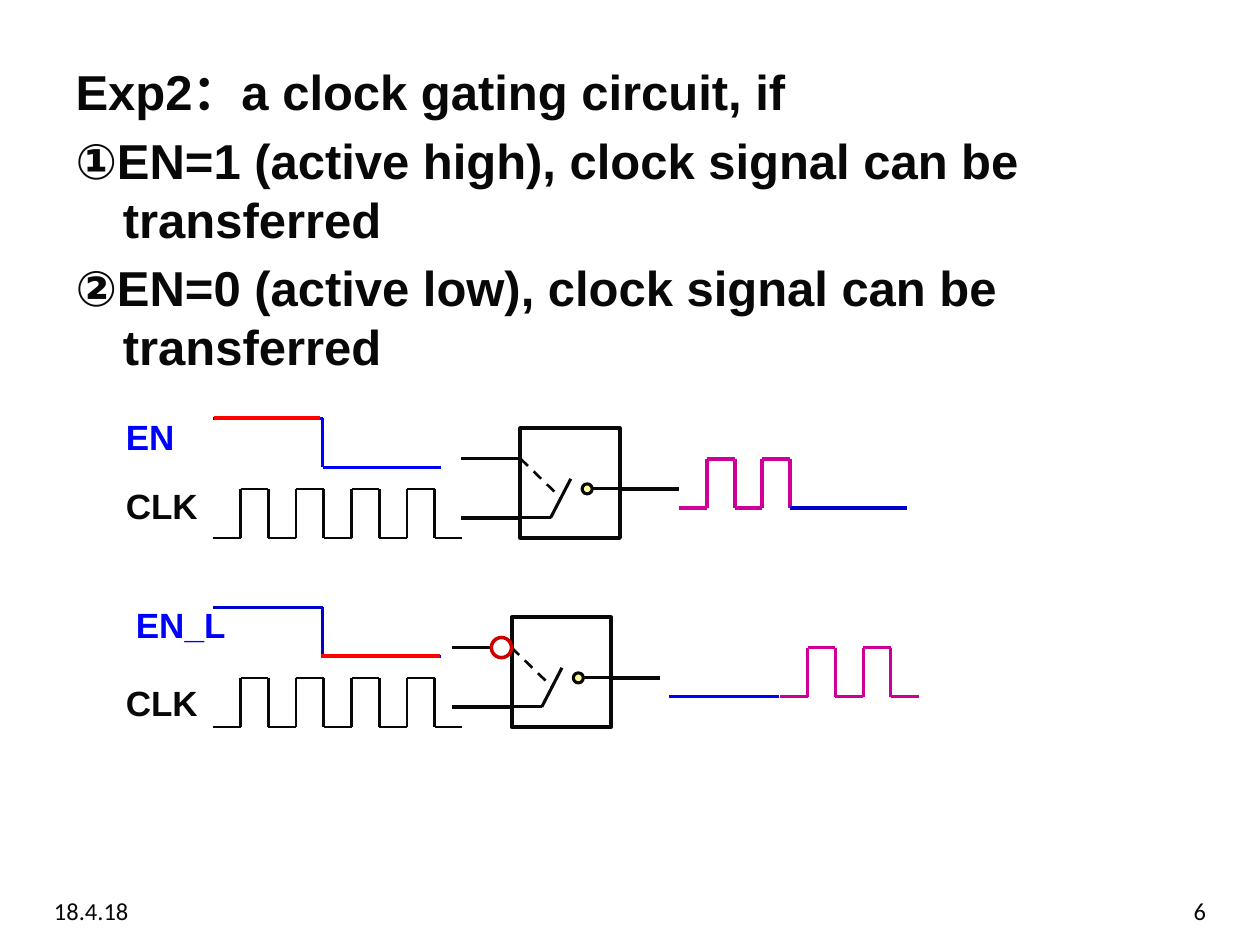
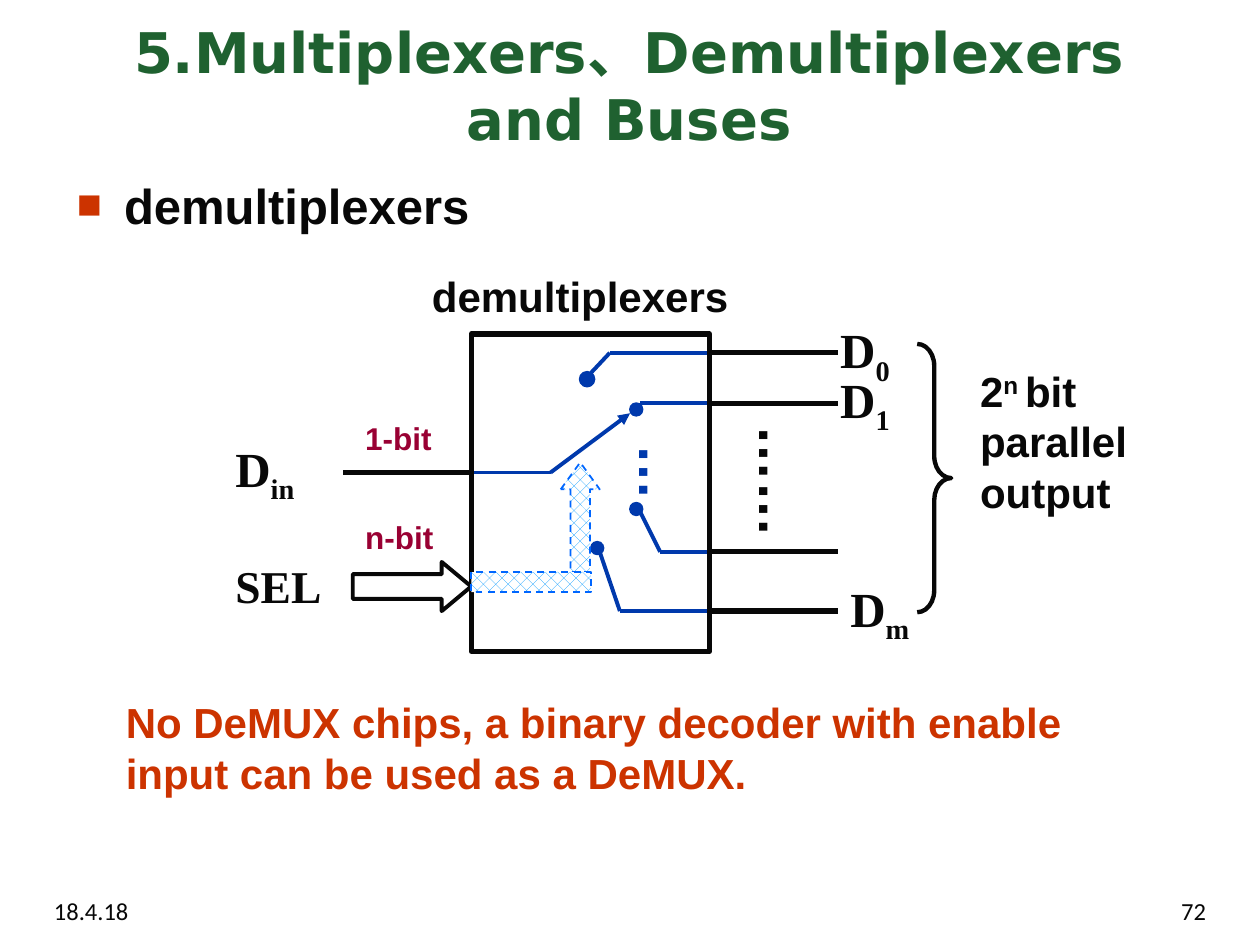
"""Build two slides on clock gating and demultiplexers."""
from itertools import cycle, pairwise

from lxml.etree import SubElement
from pptx import Presentation
from pptx.dml.color import RGBColor
from pptx.enum.dml import MSO_LINE as Dash, MSO_PATTERN as Pat
from pptx.enum.shapes import MSO_CONNECTOR as Link, MSO_SHAPE as Form
from pptx.enum.text import MSO_ANCHOR as Anchor, MSO_AUTO_SIZE as Fit, PP_ALIGN as Align
from pptx.oxml.ns import qn
from pptx.util import Inches, Pt

tone = RGBColor.from_string
INK, BLUE, NAVY, PINK, RED = "080808", "0000FF", "0000CC", "CC0099", "FF0000"
GREEN, RUST, WINE, STEEL, SKY = "1F6130", "CC3300", "990033", "0039AC", "0099FF"
SANS, SERIF = "Arial", "Times New Roman"
STEP, RISE = 0.22, 0.39


def write(box, area, lines, size, hue=INK, face=SANS, bold=True, align=None, base=-25):
    """Place a text shape; every second run of a line is raised or lowered."""
    box.left, box.top, box.width, box.height = map(Inches, area)
    frame = box.text_frame
    frame.word_wrap = True
    frame.auto_size = Fit.NONE
    for i, words in enumerate(lines):
        para = frame.add_paragraph() if i else frame.paragraphs[0]
        para.alignment = align
        for word, shift in zip(words, cycle((0, base))):
            run = para.add_run()
            run.text = word
            font = run.font
            font.size, font.name, font.bold = Pt(size), face, bold
            font.color.rgb = tone(hue)
            if shift:
                font._element.set("baseline", str(shift * 1000))
    return frame


def trace(slide, spots, hue, width, dash=None):
    """Join the spots with straight lines and return the last one."""
    for start, end in pairwise(spots):
        wire = slide.shapes.add_connector(Link.STRAIGHT, *map(Inches, start + end))
        wire.line.color.rgb = tone(hue)
        wire.line.width = Pt(width)
        wire.line.dash_style = dash
        SubElement(wire._element.spPr, qn("a:effectLst"))
    return wire


deck = Presentation()
deck.slide_width, deck.slide_height = Inches(10), Inches(7.5)
gating, demux = [deck.slides.add_slide(deck.slide_layouts[1]) for _ in range(2)]

for slide, number in ((gating, "6"), (demux, "72")):
    for left, word, side in ((0.33, "18.4.18", Align.LEFT), (7.17, number, Align.RIGHT)):
        box = slide.shapes.add_textbox(0, 0, 0, 0)
        write(box, (left, 7.06, 2.5, 0.29), [(word,)], 14, INK, "Calibri", False, side)

head = gating.shapes.title._element
head.getparent().remove(head)
body = write(gating.placeholders[1], (0.5, 0.44, 9, 6.26), [
    ("Exp2：a clock gating circuit, if",),
    ("①EN=1 (active high), clock signal can be transferred",),
    ("②EN=0 (active low), clock signal can be transferred",)], 28)
for para in body.paragraphs:
    SubElement(para._p.get_or_add_pPr(), qn("a:buNone"))

title = write(demux.shapes.title, (0.51, 0.38, 8.97, 0.58),
              [("5.Multiplexers、Demultiplexers and Buses",)], 32, GREEN,
              "DejaVu Sans", align=Align.CENTER)
title.vertical_anchor = Anchor.MIDDLE
body = write(demux.placeholders[1], (0.51, 1.34, 9, 5.6), [("demultiplexers",)], 28)
props = body.paragraphs[0]._p.get_or_add_pPr()
SubElement(SubElement(props, qn("a:buClr")), qn("a:srgbClr"), val=RUST)
SubElement(props, qn("a:buSzPct"), val="85000")
SubElement(props, qn("a:buChar"), char="■")

labels = [
    (gating, (0.9, 3.25, 0.71, 0.43), ("EN",), 20, BLUE, SANS),
    (gating, (0.9, 3.8, 0.95, 0.43), ("CLK",), 20, INK, SANS),
    (gating, (0.98, 4.74, 1.02, 0.43), ("EN_L",), 20, BLUE, SANS),
    (gating, (0.9, 5.36, 0.95, 0.43), ("CLK",), 20, INK, SANS),
    (demux, (3.33, 2.1, 2.66, 0.5), ("demultiplexers",), 24, INK, SANS),
    (demux, (1.77, 3.43, 0.87, 0.57), ("D", "in"), 28, INK, SERIF),
    (demux, (6.57, 2.49, 0.87, 0.57), ("D", "0"), 28, INK, SERIF),
    (demux, (6.57, 2.88, 0.87, 0.57), ("D", "1"), 28, INK, SERIF),
    (demux, (6.65, 4.54, 0.87, 0.57), ("D", "m"), 28, INK, SERIF),
    (demux, (1.77, 4.38, 1.1, 0.53), ("SEL",), 26, INK, SERIF),
    (demux, (2.8, 3.28, 0.79, 0.4), ("1-bit",), 18, WINE, SANS),
    (demux, (2.8, 4.06, 1.1, 0.4), ("n-bit",), 18, WINE, SANS),
    (demux, (0.9, 5.48, 8.19, 0.9), (
        "No DeMUX chips, a binary decoder with enable input can be used as a DeMUX.",),
     24, RUST, SANS),
]
for slide, area, words, size, hue, face in labels:
    write(slide.shapes.add_textbox(0, 0, 0, 0), area, [words], size, hue, face)
write(demux.shapes.add_textbox(0, 0, 0, 0), (7.68, 2.85, 1.4, 1.3),
      [("2", "n ", "bit parallel output")], 24, base=30)
for area, dots, hue in (((5.79, 3.28, 0.73, 1.1), "……", INK),
                        ((4.84, 3.43, 0.73, 0.63), "…", STEEL)):
    frame = write(demux.shapes.add_textbox(0, 0, 0, 0), area, [(dots,)], 32, hue)
    frame._txBody.bodyPr.set("vert", "eaVert")

for left, low, count, hue, width in (
        (1.69, 4.27, 4, INK, 1.5), (1.69, 5.77, 4, INK, 1.5),
        (5.39, 4.03, 2, PINK, 2.25), (6.19, 5.53, 2, PINK, 1.75)):
    spots = [(left, low)]
    for i in range(count):
        up = left + (2 * i + 1) * STEP
        down = up + STEP
        spots += [(up, low), (up, low - RISE), (down, low - RISE), (down, low)]
    trace(gating, spots + [(down + STEP, low)], hue, width)

for top, hue in ((3.32, BLUE), (4.82, NAVY)):
    low = top + RISE
    trace(gating, [(1.69, top), (2.56, top), (2.56, low), (3.5, low)], hue, 1.75)
for left, right, level, hue, width in (
        (6.27, 7.2, 4.03, NAVY, 2.25), (5.31, 6.18, 5.53, BLUE, 1.75),
        (1.7, 2.54, 3.32, RED, 2.25), (2.55, 3.49, 5.21, RED, 2.25)):
    trace(gating, [(left, level), (right, level)], hue, width)

forms = []
for x, y, stub, tip in ((4.13, 3.4, 4.13, 5.39), (4.06, 4.9, 3.9, 5.24)):
    trace(gating, [(x - 0.47, y + 0.24), (stub, y + 0.24)], INK, 2)
    trace(gating, [(x - 0.47, y + 0.71), (x, y + 0.71)], INK, 2)
    trace(gating, [(x + 0.79, y + 0.48), (tip, y + 0.48)], INK, 2)
    trace(gating, [(x, y + 0.71), (x + 0.24, y + 0.71), (x + 0.4, y + 0.4)], INK, 1.75)
    trace(gating, [(x + 0.56, y + 0.48), (x + 0.79, y + 0.48)], INK, 1.75)
    trace(gating, [(x, y + 0.24), (x + 0.32, y + 0.55)], INK, 1.5, Dash.DASH)
    forms += [(gating, Form.RECTANGLE, (x, y, 0.79, 0.87), (), None, INK, 2.25),
              (gating, Form.OVAL, (x + 0.49, y + 0.44, 0.08, 0.08), (), "FFFF99", INK, 1.75)]
forms.append((gating, Form.OVAL, (3.9, 5.06, 0.16, 0.16), (), None, "CC0000", 2))

trace(demux, [(3.74, 3.75), (2.72, 3.75)], INK, 3)
for level, bend, dot, width in (
        (2.8, [(4.84, 2.8), (4.69, 2.96)], (4.61, 2.96), 2.25),
        (3.2, [(5.08, 3.2)], (5, 3.2), 1),
        (4.38, [(5.24, 4.38), (5.08, 4.06)], (5, 3.99), 1),
        (4.85, [(4.92, 4.85), (4.76, 4.38)], (4.69, 4.3), 1)):
    trace(demux, [(6.65, level), (5.63, level)], INK, 3)
    trace(demux, [(5.63, level)] + bend, STEEL, 2.25)
    forms.append((demux, Form.OVAL, dot + (0.1, 0.1), (), STEEL, STEEL, width))
arm = trace(demux, [(3.74, 3.75), (4.37, 3.75), (5, 3.28)], STEEL, 2.25)
SubElement(arm._element.spPr.find(qn("a:ln")), qn("a:tailEnd"), type="triangle")

forms += [
    (demux, Form.RECTANGLE, (3.74, 2.65, 1.89, 2.52), (), None, INK, 3),
    (demux, Form.RIGHT_BRACE, (7.28, 2.73, 0.27, 2.13), (0.646, 0.5), None, INK, 2.5),
    (demux, Form.RIGHT_ARROW, (2.8, 4.46, 0.94, 0.39), (0.5, 0.6), None, INK, 2.25),
    (demux, Form.UP_ARROW, (4.45, 3.67, 0.31, 0.87), (0.5, 0.69), SKY, "0066FF", 1),
    (demux, Form.RECTANGLE, (3.74, 4.54, 0.95, 0.16), (), SKY, "0066FF", 1),
]
for slide, form, area, bends, fill, hue, width in forms:
    shape = slide.shapes.add_shape(form, *map(Inches, area))
    shape.shadow.inherit = False
    for i, bend in enumerate(bends):
        shape.adjustments[i] = bend
    shape.line.color.rgb = tone(hue)
    shape.line.width = Pt(width)
    if fill is None:
        shape.fill.background()
    elif fill == SKY:
        shape.fill.patterned()
        shape.fill.pattern = Pat.PERCENT_30
        shape.fill.fore_color.rgb = tone(SKY)
        shape.fill.back_color.rgb = tone("FFFFFF")
        shape.line.dash_style = Dash.DASH
    else:
        shape.fill.solid()
        shape.fill.fore_color.rgb = tone(fill)

deck.save("out.pptx")
